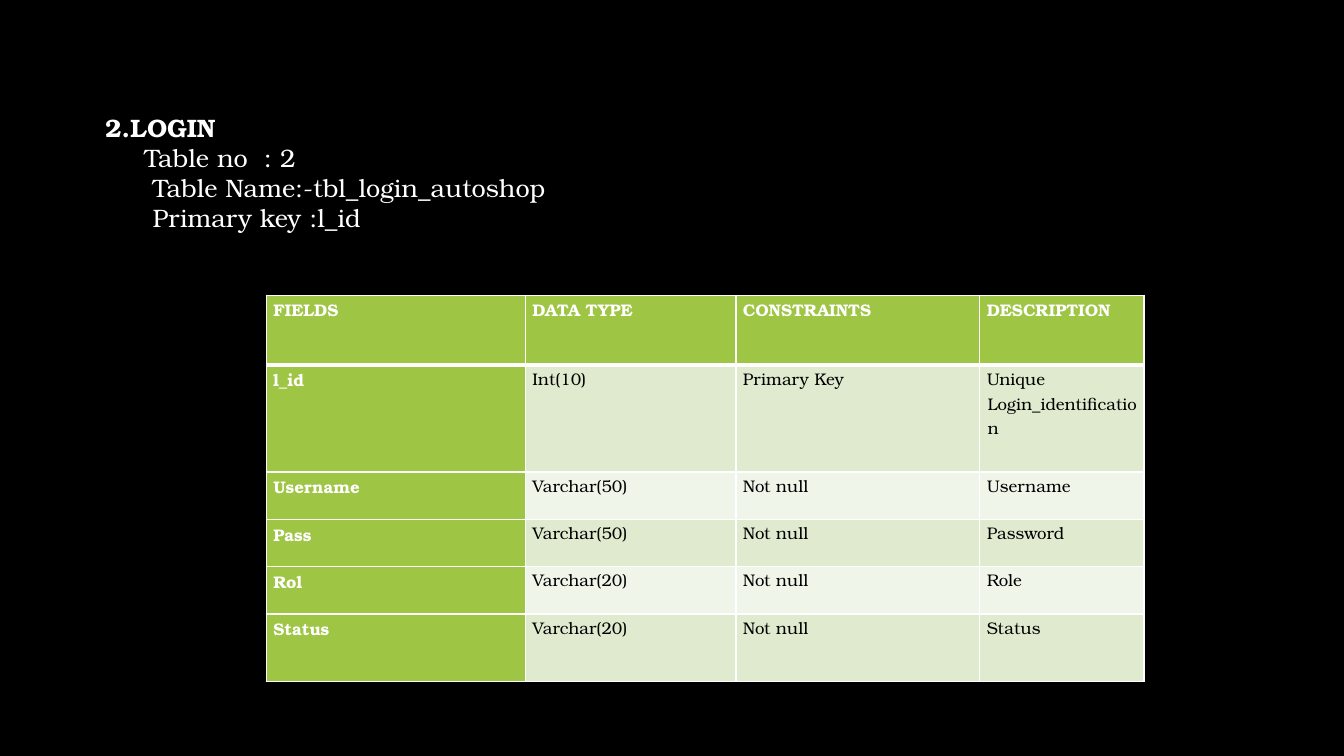
from lxml import etree
from pptx import Presentation
from pptx.dml.color import RGBColor
from pptx.enum.text import PP_ALIGN
from pptx.oxml.ns import qn
from pptx.util import Pt

JUSTIFY = PP_ALIGN.JUSTIFY
BLACK = RGBColor(0x00, 0x00, 0x00)
WHITE = RGBColor(0xFF, 0xFF, 0xFF)
GREEN = RGBColor(0x9E, 0xC5, 0x44)
BAND_DARK = RGBColor(0xDF, 0xEA, 0xCF)
BAND_LIGHT = RGBColor(0xF0, 0xF5, 0xE9)
FONT = "TeX Gyre Bonum"

HEADING = [
    ("2.LOGIN", 6, True),
    ("Table no  : 2", 34, False),
    ("Table Name:-tbl_login_autoshop", 40, False),
    ("Primary key :l_id", 40, False),
]
FIELDS = [
    ("FIELDS", "DATA TYPE", "CONSTRAINTS", "DESCRIPTION"),
    ("l_id", "Int(10)", "Primary Key", "Unique Login_identification"),
    ("Username", "Varchar(50)", "Not null", "Username"),
    ("Pass", "Varchar(50)", "Not null", "Password"),
    ("Rol", "Varchar(20)", "Not null", "Role"),
    ("Status", "Varchar(20)", "Not null", "Status"),
]
COL_WIDTHS = [185, 150.5, 174.2, 117.3]
ROW_HEIGHTS = [50, 76.4, 33.8, 33.8, 33.8, 48.4]


def add_run(p, text, size, color, bold):
    r = p.add_run()
    r.text = text
    r.font.name = FONT
    r.font.size = Pt(size)
    r.font.bold = bold
    r.font.color.rgb = color


def set_indent(p, left, first=0):
    pPr = p._p.get_or_add_pPr()
    pPr.set("marL", str(Pt(left)))
    pPr.set("indent", str(Pt(first)))


def add_heading(s, left, top, width, height):
    tf = s.shapes.add_textbox(Pt(left), Pt(top), Pt(width), Pt(height)).text_frame
    tf.word_wrap = True
    for i, (text, indent, bold) in enumerate(HEADING):
        p = tf.add_paragraph() if i else tf.paragraphs[0]
        set_indent(p, indent)
        add_run(p, text, 18, WHITE, bold)


def set_borders(cell, top, bottom):
    tcPr = cell._tc.get_or_add_tcPr()
    for side, width in (("L", 1), ("R", 1), ("T", top), ("B", bottom)):
        ln = etree.SubElement(tcPr, qn(f"a:ln{side}"), w=str(Pt(width)))
        fill = etree.SubElement(ln, qn("a:solidFill"))
        etree.SubElement(fill, qn("a:srgbClr"), val=str(WHITE))


def fill_cell(cell, text, row, col):
    is_header = row == 0 or col == 0
    band = BAND_DARK if row % 2 else BAND_LIGHT
    set_borders(cell, 3 if row == 1 else 1, 3 if row == 0 else 1)
    cell.fill.solid()
    cell.fill.fore_color.rgb = GREEN if is_header else band
    cell.margin_left = cell.margin_right = Pt(5)
    cell.margin_top = cell.margin_bottom = Pt(0)
    p = cell.text_frame.paragraphs[0]
    p.alignment = JUSTIFY
    p.line_spacing = 1.1
    p.space_after = Pt(20.6)
    set_indent(p, 0.5, -0.5)
    add_run(p, text, 12, WHITE if is_header else BLACK, is_header)


def add_field_table(s, left, top):
    frame = s.shapes.add_table(len(FIELDS), len(COL_WIDTHS), Pt(left), Pt(top),
                               Pt(sum(COL_WIDTHS)), Pt(sum(ROW_HEIGHTS)))
    table = frame.table
    for column, width in zip(table.columns, COL_WIDTHS):
        column.width = Pt(width)
    for row, height in zip(table.rows, ROW_HEIGHTS):
        row.height = Pt(height)
    for i, texts in enumerate(FIELDS):
        for j, text in enumerate(texts):
            fill_cell(table.cell(i, j), text, i, j)


def main():
    prs = Presentation()
    prs.slide_width, prs.slide_height = Pt(960), Pt(540)
    s = prs.slides.add_slide(prs.slide_layouts[6])
    s.background.fill.solid()
    s.background.fill.fore_color.rgb = BLACK
    add_heading(s, 62, 76.5, 880, 123.5)
    add_field_table(s, 190.2, 210.8)
    prs.save("out.pptx")


if __name__ == "__main__":
    main()
